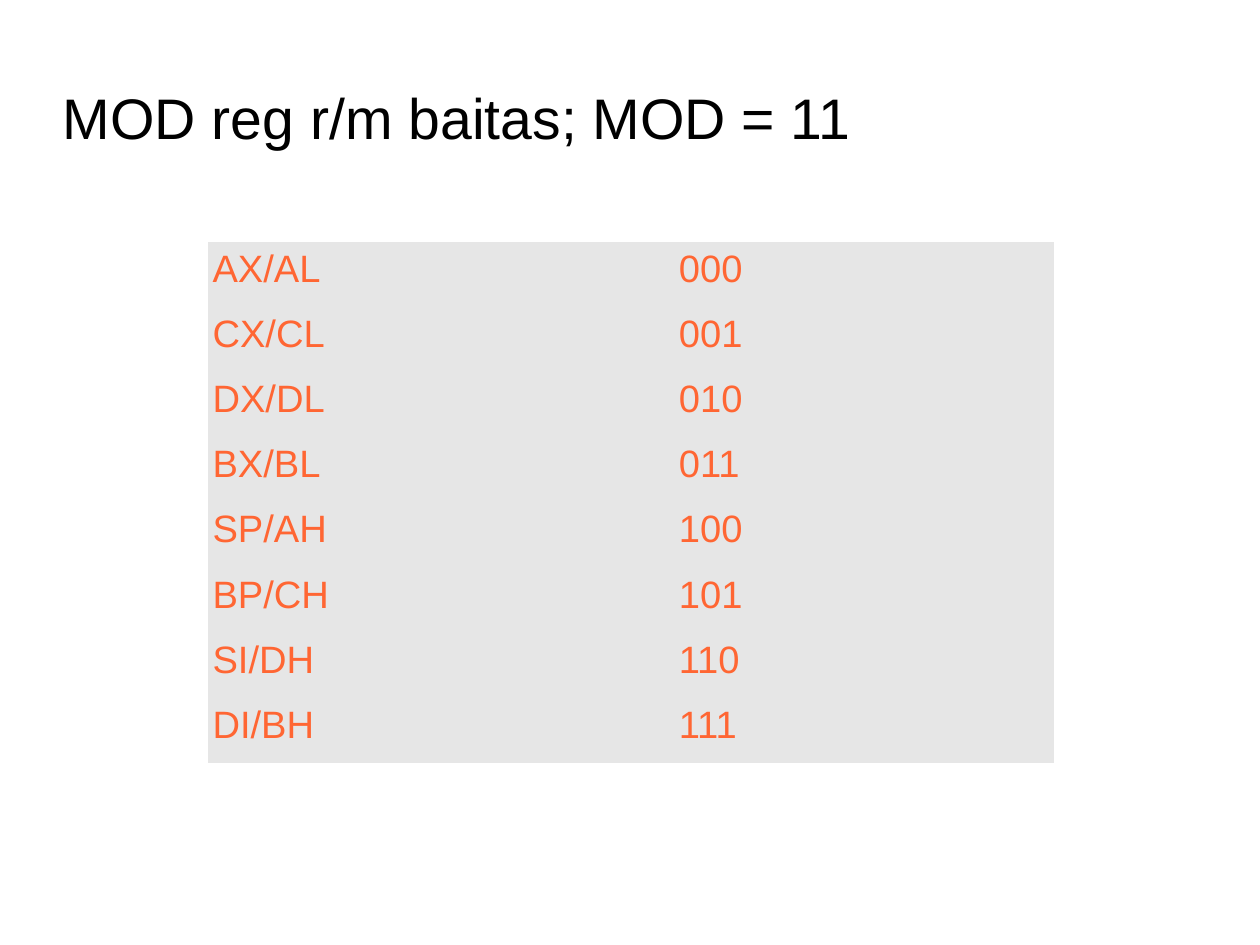
"""Build the slide listing register codes for MOD = 11."""
from dataclasses import dataclass

from pptx import Presentation
from pptx.dml.color import RGBColor
from pptx.enum.text import MSO_ANCHOR, PP_ALIGN
from pptx.oxml.ns import qn
from pptx.slide import Slide
from pptx.table import Table, _Cell
from pptx.text.text import TextFrame
from pptx.util import Inches, Pt

COLOURS = {"heading": "000000", "code": "FF6633", "cell": "E6E6E6"}
FONT = "Arial"
PLAIN_STYLE = "{2D5ABB26-0587-4C30-8999-92F81FD0307C}"
COLUMN_WIDTHS = (3.8, 0.28, 3.32)
ROW_HEIGHT = 0.57
CM_PER_INCH = 2.54


@dataclass(frozen=True)
class Register:
    names: str
    code: str


REGISTERS = [
    Register("AX/AL", "000"),
    Register("CX/CL", "001"),
    Register("DX/DL", "010"),
    Register("BX/BL", "011"),
    Register("SP/AH", "100"),
    Register("BP/CH", "101"),
    Register("SI/DH", "110"),
    Register("DI/BH", "111"),
]


def add_text(frame: TextFrame, text: str, size: int, colour: str) -> None:
    paragraph = frame.paragraphs[0]
    paragraph.alignment = PP_ALIGN.LEFT
    run = paragraph.add_run()
    run.text = text
    run.font.name = FONT
    run.font.size = Pt(size)
    run.font.color.rgb = RGBColor.from_string(COLOURS[colour])


def add_heading(slide: Slide, text: str) -> None:
    heading = slide.shapes.title
    heading.left, heading.top = Inches(0.55), Inches(0.63)
    heading.width, heading.height = Inches(7.87), Inches(0.79)
    frame = heading.text_frame
    frame.margin_left = frame.margin_right = Inches(0)
    frame.margin_top = frame.margin_bottom = Inches(0)
    frame.vertical_anchor = MSO_ANCHOR.MIDDLE
    frame.word_wrap = True
    add_text(frame, text, 36, "heading")


def fill_cell(cell: _Cell, text: str) -> None:
    cell.fill.solid()
    cell.fill.fore_color.rgb = RGBColor.from_string(COLOURS["cell"])
    cell.margin_left = cell.margin_right = Inches(0.04)
    cell.margin_top = cell.margin_bottom = Inches(0.05)
    if text:
        add_text(cell.text_frame, text, 24, "code")


def add_register_table(slide: Slide) -> Table:
    table = slide.shapes.add_table(
        len(REGISTERS), len(COLUMN_WIDTHS), Inches(1.82), Inches(2.12),
        Inches(sum(COLUMN_WIDTHS)), Inches(ROW_HEIGHT * len(REGISTERS)),
    ).table
    table.first_row = table.horz_banding = False
    table._tbl.tblPr.find(qn("a:tableStyleId")).text = PLAIN_STYLE
    for column, width in zip(table.columns, COLUMN_WIDTHS):
        column.width = Inches(width)
    for row, register in zip(table.rows, REGISTERS):
        row.height = Inches(ROW_HEIGHT)
        for cell, text in zip(row.cells, (register.names, "", register.code)):
            fill_cell(cell, text)
    return table


def main() -> None:
    presentation = Presentation()
    presentation.slide_width = Inches(28 / CM_PER_INCH)
    presentation.slide_height = Inches(21 / CM_PER_INCH)
    presentation.element.find(qn("p:sldSz")).attrib.pop("type", None)
    slide = presentation.slides.add_slide(presentation.slide_layouts[5])
    add_heading(slide, "MOD reg r/m baitas; MOD = 11")
    add_register_table(slide)
    presentation.save("out.pptx")


if __name__ == "__main__":
    main()
